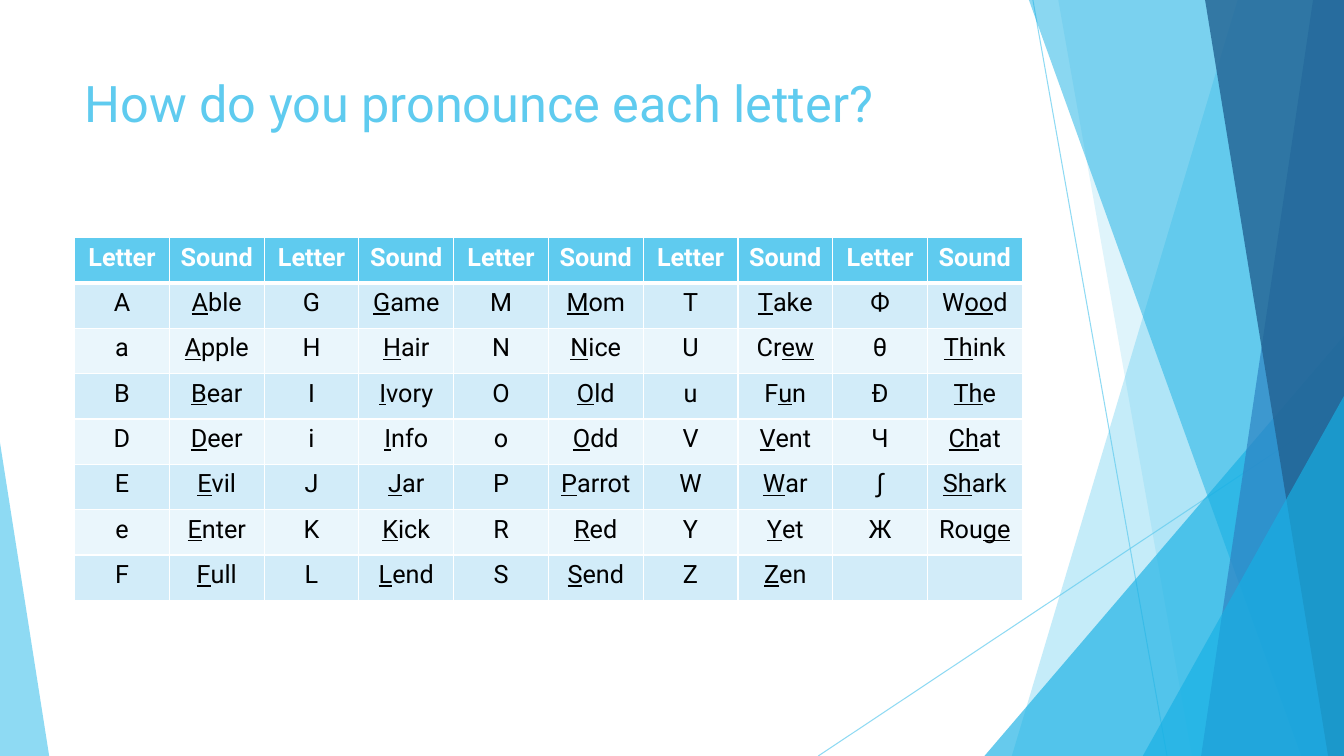
import dataclasses

import lxml.etree
import pptx
import pptx.dml.color
import pptx.enum.shapes
import pptx.enum.text
import pptx.oxml.ns
import pptx.util

Cm = pptx.util.Cm
qn = pptx.oxml.ns.qn


@dataclasses.dataclass(frozen=True)
class Theme:
    font: str = "Roboto"
    title_size: int = 36
    table_size: int = 18
    sky: str = "5FCBEF"
    azure: str = "17B0E4"
    blue: str = "2E83C3"
    navy: str = "226292"
    odd_row: str = "D2ECF9"
    even_row: str = "EAF6FC"
    white: str = "FFFFFF"
    black: str = "000000"


@dataclasses.dataclass(frozen=True)
class Box:
    left: float
    top: float
    width: float
    height: float


THEME = Theme()
PAGE = Box(0, 0, 33.87, 19.05)
LEFT_CORNER = Box(0, 11.15, 1.24, 7.9)
RIGHT_FACETS = Box(20.62, 0, 13.25, 19.05)
TITLE = Box(1.88, 1.7, 23.88, 3.66)
LETTER_TABLE = Box(1.88, 5.99, 23.88, 9.14)

HEADINGS = ["Letter", "Sound"] * 5
# Underscores enclose the letters that carry the sound.
SOUNDS = [
    "A _A_ble G _G_ame M _M_om T _T_ake Ф W_oo_d",
    "a _A_pple H _H_air N _N_ice U Cr_ew_ θ _Th_ink",
    "B _B_ear I _I_vory O _O_ld u F_u_n Ð _Th_e",
    "D _D_eer i _I_nfo o _O_dd V _V_ent Ч _Ch_at",
    "E _E_vil J _J_ar P _P_arrot W _W_ar ʃ _Sh_ark",
    "e _E_nter K _K_ick R _R_ed Y _Y_et Ж Rou_ge_",
    "F _F_ull L _L_end S _S_end Z _Z_en",
]


def rgb(color):
    return pptx.dml.color.RGBColor.from_string(color)


def apply(target, values):
    for name, value in values.items():
        setattr(target, name, value)


def set_alpha(fill_parent, percent):
    color = next(fill_parent.iter(qn("a:srgbClr")))
    lxml.etree.SubElement(color, qn("a:alpha"), val=str(percent * 1000))


def add_span(para, text, size, color, **values):
    span = para.add_run()
    span.text = text
    apply(span.font, {"name": THEME.font, "size": pptx.util.Pt(size), **values})
    span.font.color.rgb = rgb(color)


def tint(shape, color, alpha):
    shape.shadow.inherit = False
    shape.fill.solid()
    shape.fill.fore_color.rgb = rgb(color)
    set_alpha(shape.fill._xPr.find(qn("a:solidFill")), alpha)
    shape.line.fill.background()


def add_triangle(page, box, apex, color, alpha):
    kind = pptx.enum.shapes.MSO_SHAPE.ISOSCELES_TRIANGLE
    lengths = map(Cm, (box.left, box.top, box.width, box.height))
    triangle = page.shapes.add_shape(kind, *lengths)
    triangle.adjustments[0] = apex
    tint(triangle, color, alpha)


def add_band(page, box, top_x, bottom_x, color, alpha):
    bottom = box.top + box.height
    right = box.left + box.width
    outline = [(box.left + top_x, box.top), (right, box.top),
               (right, bottom), (box.left + bottom_x, bottom)]
    points = [(Cm(x), Cm(y)) for x, y in outline]
    builder = page.shapes.build_freeform(*points[0])
    builder.add_line_segments(points[1:], close=True)
    tint(builder.convert_to_shape(), color, alpha)


def add_ray(page, box, start, end):
    straight = pptx.enum.shapes.MSO_CONNECTOR.STRAIGHT
    ends = [Cm(value) for x, y in (start, end)
            for value in (box.left + x, box.top + y)]
    ray = page.shapes.add_connector(straight, *ends)
    ray.line.width = pptx.util.Pt(0.75)
    ray.line.color.rgb = rgb(THEME.sky)
    properties = ray._element.spPr
    set_alpha(properties, 70)
    lxml.etree.SubElement(properties, qn("a:effectLst"))


def add_right_facets(page, box):
    def corner(x, y):
        inner = Box(box.left + x, box.top + y, box.width - x, box.height - y)
        add_triangle(page, inner, 1, THEME.azure, 66)

    add_ray(page, box, (5.41, 0), (8.79, box.height))
    add_ray(page, box, (box.width, 10.24), (0, box.height))
    add_band(page, box, 10.57, 4.88, THEME.sky, 36)
    add_band(page, box, 6.05, 9.42, THEME.sky, 20)
    corner(4.19, 8.46)
    add_band(page, box, 5.31, 12.17, THEME.azure, 50)
    add_band(page, box, 12.47, 9.65, THEME.blue, 70)
    add_band(page, box, 9.75, 12.85, THEME.navy, 80)
    corner(8.18, 9.98)


def add_title(page, box, text):
    lengths = map(Cm, (box.left, box.top, box.width, box.height))
    frame = page.shapes.add_textbox(*lengths).text_frame
    apply(frame, {"word_wrap": True,
                  "vertical_anchor": pptx.enum.text.MSO_ANCHOR.TOP})
    add_span(frame.paragraphs[0], text, THEME.title_size, THEME.sky)


def add_borders(cell, widths):
    properties = cell._tc.get_or_add_tcPr()
    for side, width in widths.items():
        line = lxml.etree.SubElement(
            properties, qn(f"a:ln{side}"), w=str(pptx.util.Pt(width)))
        fill = lxml.etree.SubElement(line, qn("a:solidFill"))
        lxml.etree.SubElement(fill, qn("a:srgbClr"), val=THEME.white)


def fill_cell(cell, text, row):
    header = row == 0
    add_borders(cell, {"L": 1, "R": 1, "T": 3 if row == 1 else 1,
                       "B": 3 if header else 1})
    cell.fill.solid()
    stripe = THEME.odd_row if row % 2 else THEME.even_row
    cell.fill.fore_color.rgb = rgb(THEME.sky if header else stripe)
    para = cell.text_frame.paragraphs[0]
    para.alignment = pptx.enum.text.PP_ALIGN.CENTER
    color = THEME.white if header else THEME.black
    for index, part in enumerate(text.split("_")):
        if part:
            add_span(para, part, THEME.table_size, color,
                     bold=header, underline=index % 2 == 1)


def add_letter_table(page, box):
    rows = [HEADINGS] + [line.split() for line in SOUNDS]
    lengths = map(Cm, (box.left, box.top, box.width, box.height))
    table = page.shapes.add_table(len(rows), len(HEADINGS), *lengths).table
    for column in table.columns:
        column.width = Cm(box.width / len(HEADINGS))
    for row, texts in enumerate(rows):
        table.rows[row].height = Cm(box.height / len(rows))
        for column in range(len(HEADINGS)):
            text = texts[column] if column < len(texts) else ""
            fill_cell(table.cell(row, column), text, row)


def build_letters_page(deck):
    page = deck.slides.add_slide(deck.slide_layouts[6])
    add_right_facets(page, RIGHT_FACETS)
    add_triangle(page, LEFT_CORNER, 0, THEME.sky, 70)
    add_title(page, TITLE, "How do you pronounce each letter?")
    add_letter_table(page, LETTER_TABLE)


deck = pptx.Presentation()
apply(deck, {"slide_width": Cm(PAGE.width), "slide_height": Cm(PAGE.height)})
build_letters_page(deck)
deck.save("out.pptx")
